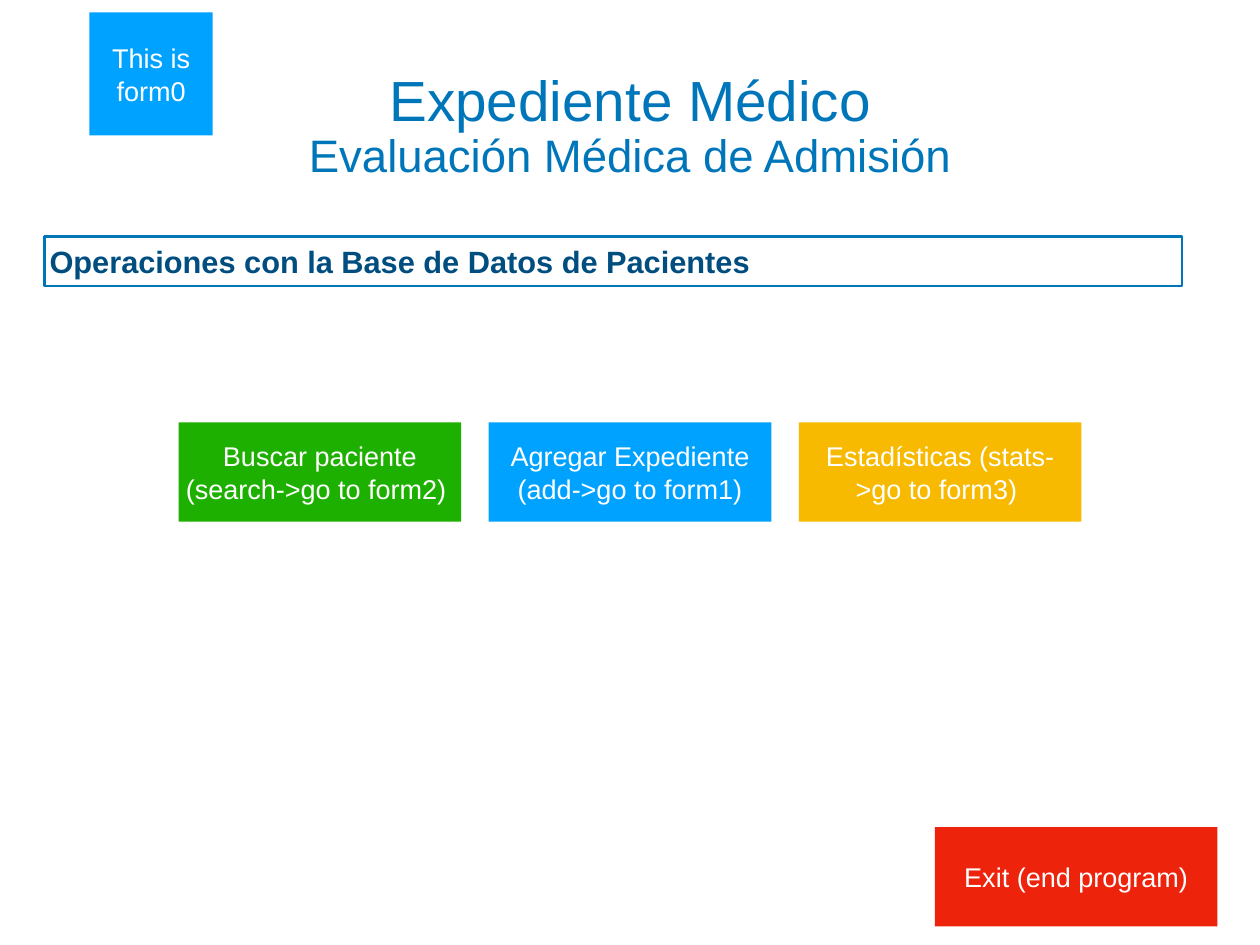
from pptx import Presentation
from pptx.dml.color import RGBColor
from pptx.enum.shapes import MSO_SHAPE as Shape
from pptx.enum.text import MSO_ANCHOR as Anchor, PP_ALIGN as Align
from pptx.util import Inches, Pt

SLIDE_WIDTH, SLIDE_HEIGHT = 14.22, 10.67
BUTTON_WIDTH, BUTTON_HEIGHT = 3.19, 1.12
BUTTON_GAP = 0.31
INSET = 0.06
BLUE, SKY, NAVY, WHITE = "0076BA", "00A2FF", "004D80", "FFFFFF"
GREEN, YELLOW, RED = "1EB001", "F7BA01", "EE230C"


def color(hex_value):
    """Turn a hex string into a colour."""
    return RGBColor.from_string(hex_value)


def write(shape, text, size, hex_value, align=Align.CENTER, bold=False):
    """Fill a shape with one vertically centred paragraph."""
    frame = shape.text_frame
    frame.word_wrap = True
    frame.vertical_anchor = Anchor.MIDDLE
    frame.margin_left = frame.margin_right = Inches(INSET)
    frame.margin_top = frame.margin_bottom = Inches(INSET)
    paragraph = frame.paragraphs[0]
    paragraph.text = text
    paragraph.alignment = align
    font = paragraph.font
    font.name, font.size, font.bold = "Arial", Pt(size), bold
    font.color.rgb = color(hex_value)


def add_box(slide, box, fill, line=None):
    """Add a flat rectangle, outlined only when a line colour is given."""
    shape = slide.shapes.add_shape(Shape.RECTANGLE, *map(Inches, box))
    shape.shadow.inherit = False
    shape.fill.solid()
    shape.fill.fore_color.rgb = color(fill)
    if line:
        shape.line.color.rgb = color(line)
        shape.line.width = Pt(2)
    else:
        shape.line.fill.background()
    return shape


def add_button(slide, box, text, fill):
    """Add a coloured button with a white label."""
    write(add_box(slide, box, fill), text, 22, WHITE)


def add_heading(slide, box):
    """Place the title and, overlapping its lower edge, the subtitle."""
    left, top, width, height = box
    lines = [("Expediente Médico", 46, 0, 1.12),
             ("Evaluación Médica de Admisión", 37, height - 0.73, 0.73)]
    for text, size, offset, line_height in lines:
        line_box = (left, top + offset, width, line_height)
        write(slide.shapes.add_textbox(*map(Inches, line_box)), text, size, BLUE)


def add_section_bar(slide, box):
    """Place the outlined section title."""
    write(add_box(slide, box, WHITE, BLUE),
          "Operaciones con la Base de Datos de Pacientes",
          25, NAVY, Align.LEFT, bold=True)


def add_operations(slide, box):
    """Spread the operation buttons evenly across the box."""
    left, top, width, height = box
    operations = [("Buscar paciente (search->go to form2) ", GREEN),
                  ("Agregar Expediente (add->go to form1)", SKY),
                  ("Estadísticas (stats->go to form3) ", YELLOW)]
    step = (width + BUTTON_GAP) / len(operations)
    for index, (text, fill) in enumerate(operations):
        button_box = (left + index * step, top, step - BUTTON_GAP, height)
        add_button(slide, button_box, text, fill)


def build_menu(presentation):
    """Build the main menu slide."""
    slide = presentation.slides.add_slide(presentation.slide_layouts[6])
    heading_width = 12.14
    add_heading(slide, ((SLIDE_WIDTH - heading_width) / 2, 0.56, heading_width, 1.55))
    add_section_bar(slide, (0.5, 2.67, 12.84, 0.56))
    row_width = 3 * BUTTON_WIDTH + 2 * BUTTON_GAP
    add_operations(slide, ((SLIDE_WIDTH - row_width) / 2, 4.77, row_width, BUTTON_HEIGHT))
    add_button(slide, (10.55, 9.34, BUTTON_WIDTH, BUTTON_HEIGHT), "Exit (end program)", RED)
    add_button(slide, (1.01, 0.14, 1.39, 1.39), "This is form0", SKY)


presentation = Presentation()
presentation.slide_width = Inches(SLIDE_WIDTH)
presentation.slide_height = Inches(SLIDE_HEIGHT)
build_menu(presentation)
presentation.save("out.pptx")
